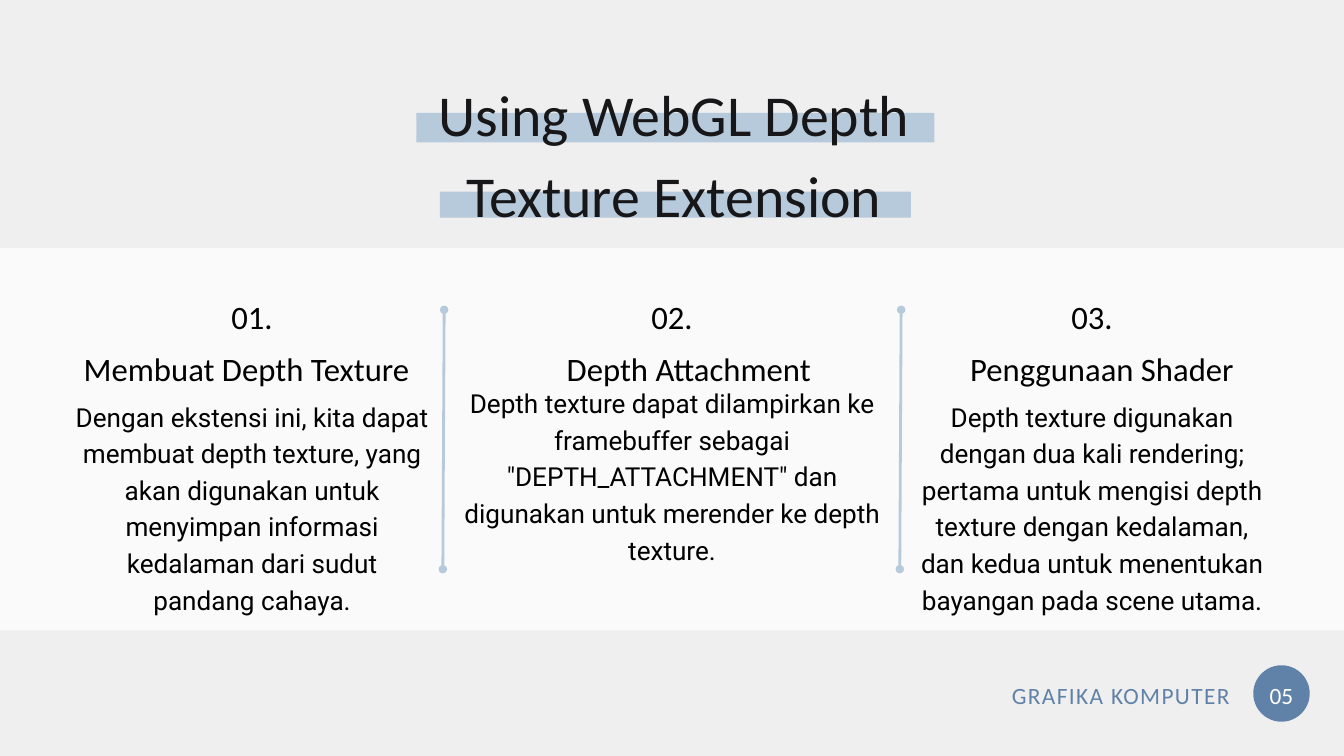
import pptx
import pptx.dml.color
import pptx.enum.shapes
import pptx.enum.text
import pptx.oxml.ns
import pptx.util
from lxml import etree
from pptx.util import Inches

COLORS = {
    "background": "EFEFEF",
    "band": "FAFAFA",
    "accent": "6182A8",
    "light": "B7CADB",
    "title": "171618",
    "text": "000000",
    "white": "FFFFFF",
}
ALIGN = pptx.enum.text.PP_ALIGN
SHAPE = pptx.enum.shapes.MSO_SHAPE

COLUMNS = [
    dict(
        number="01.",
        heading="Membuat Depth Texture",
        body="Dengan ekstensi ini, kita dapat membuat depth texture, yang akan "
        "digunakan untuk menyimpan informasi kedalaman dari sudut pandang cahaya.",
        heading_shift=-0.08,
    ),
    dict(
        number="02.",
        heading="Depth Attachment",
        body="Depth texture dapat dilampirkan ke framebuffer sebagai "
        '"DEPTH_ATTACHMENT" dan digunakan untuk merender ke depth texture.',
        heading_shift=0.25,
        body_top=1.37,
        body_width=6.25,
        body_height=2.69,
    ),
    dict(
        number="03.",
        heading="Penggunaan Shader",
        body="Depth texture digunakan dengan dua kali rendering; pertama untuk "
        "mengisi depth texture dengan kedalaman, dan kedua untuk menentukan "
        "bayangan pada scene utama.",
        heading_shift=0.15,
    ),
]


def rgb(name):
    return pptx.dml.color.RGBColor.from_string(COLORS[name])


def add_text(s, text, left, top, width, height, size, font="Calibri",
             color="text", align=ALIGN.CENTER, spacing=None):
    box = s.shapes.add_textbox(Inches(left), Inches(top), Inches(width), Inches(height))
    tf = box.text_frame
    tf.word_wrap = True
    tf.margin_left = tf.margin_right = tf.margin_top = tf.margin_bottom = 0
    p = tf.paragraphs[0]
    p.alignment = align
    p.line_spacing = pptx.util.Pt(size * 1.4)
    r = p.add_run()
    r.text = text
    r.font.size = pptx.util.Pt(size)
    r.font.name = font
    r.font.color.rgb = rgb(color)
    if spacing:
        r.font._element.set("spc", str(int(spacing * 100)))


def add_block(s, kind, left, top, width, height, color):
    sp = s.shapes.add_shape(kind, Inches(left), Inches(top), Inches(width), Inches(height))
    sp.shadow.inherit = False
    sp.fill.solid()
    sp.fill.fore_color.rgb = rgb(color)
    sp.line.fill.background()


def add_title(s, left, top, width, height):
    center = left + width / 2 + 0.02
    for dy, bar_width, bar_height in [(0.68, 7.71, 0.44), (1.85, 7.01, 0.39)]:
        add_block(s, SHAPE.RECTANGLE, center - bar_width / 2, top + dy,
                  bar_width, bar_height, "light")
    add_text(s, "Using WebGL Depth Texture Extension", left, top, width, height,
             62, color="title")


def add_column(s, left, top, width, number, heading, body, heading_shift,
               body_top=1.57, body_width=5.26, body_height=3.23):
    add_text(s, number, left, top, width, 0.65, 35)
    add_text(s, heading, left + heading_shift, top + 0.78, width, 0.65, 35)
    add_text(s, body, left + (width - body_width) / 2, top + body_top,
             body_width, body_height, 28, font="Roboto")


def add_divider(s, left, top, height):
    line = s.shapes.add_connector(
        pptx.enum.shapes.MSO_CONNECTOR.STRAIGHT,
        Inches(left), Inches(top + height), Inches(left + 0.02), Inches(top))
    line.line.color.rgb = rgb("light")
    line.line.width = pptx.util.Pt(3)
    ln = line.line._get_or_add_ln()
    for end in ("a:headEnd", "a:tailEnd"):
        etree.SubElement(ln, pptx.oxml.ns.qn(end), type="oval")
    etree.SubElement(line._element.spPr, pptx.oxml.ns.qn("a:effectLst"))


def add_columns(s, left, top, width, height):
    add_block(s, SHAPE.RECTANGLE, left, top, width, height, "band")
    pitch = 6.25
    first = left + (width - pitch * len(COLUMNS)) / 2
    for i, column in enumerate(COLUMNS):
        add_column(s, first + i * pitch, top + 0.63, pitch, **column)
    for i in range(len(COLUMNS) - 1):
        add_divider(s, left + 6.59 + i * 6.8, top + 0.92, 3.86)


def add_footer(s, left, top, width, height):
    badge = left + width - height
    add_block(s, SHAPE.OVAL, badge, top, height, height, "accent")
    add_text(s, "05", badge, top + 0.16, height, 0.46, 25, color="white")
    add_text(s, "GRAFIKA KOMPUTER", left, top + 0.16, 4.09, 0.46, 25,
             color="accent", align=ALIGN.RIGHT, spacing=1.5)


def main():
    prs = pptx.Presentation()
    prs.slide_width = Inches(20)
    prs.slide_height = Inches(11.25)
    s = prs.slides.add_slide(prs.slide_layouts[6])
    s.background.fill.solid()
    s.background.fill.fore_color.rgb = rgb("background")
    add_columns(s, 0, 3.69, 20, 5.69)
    add_title(s, 5.18, 1, 9.7, 2.4)
    add_footer(s, 14.21, 9.9, 5.28, 0.84)
    prs.save("out.pptx")


if __name__ == "__main__":
    main()
